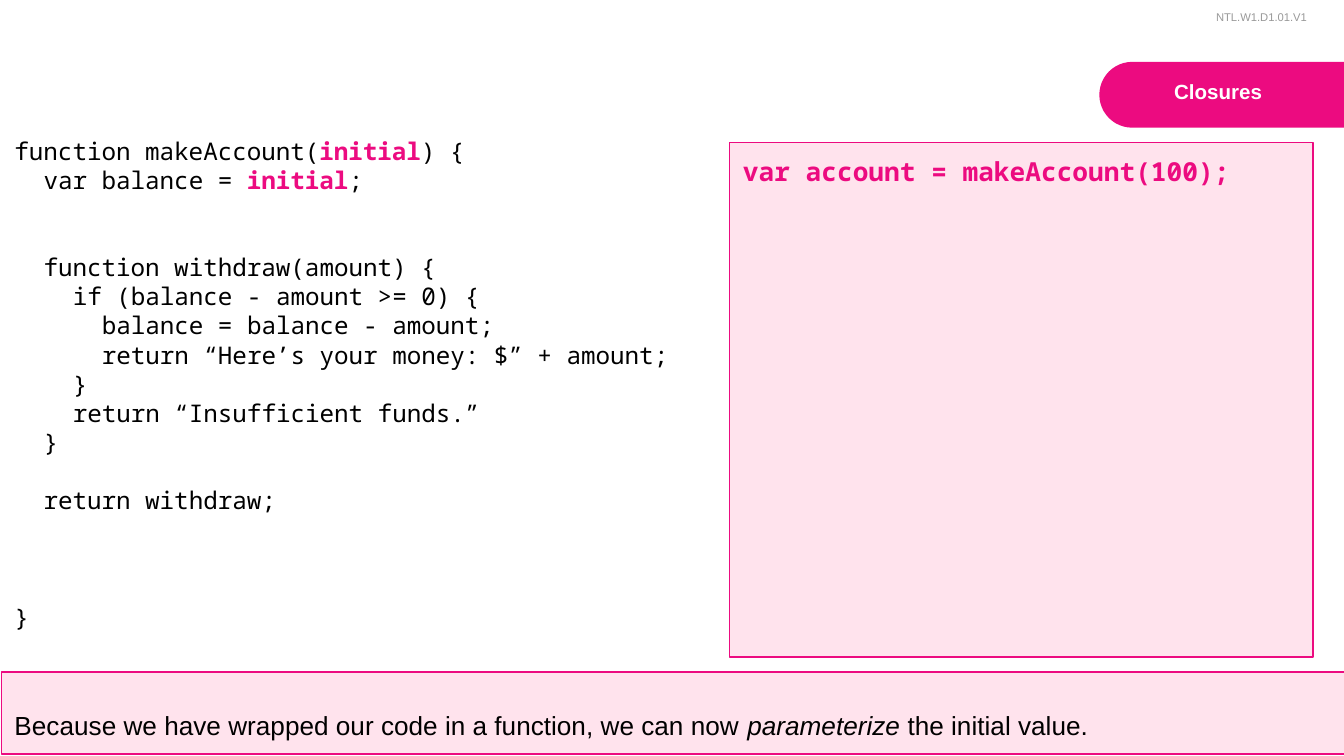
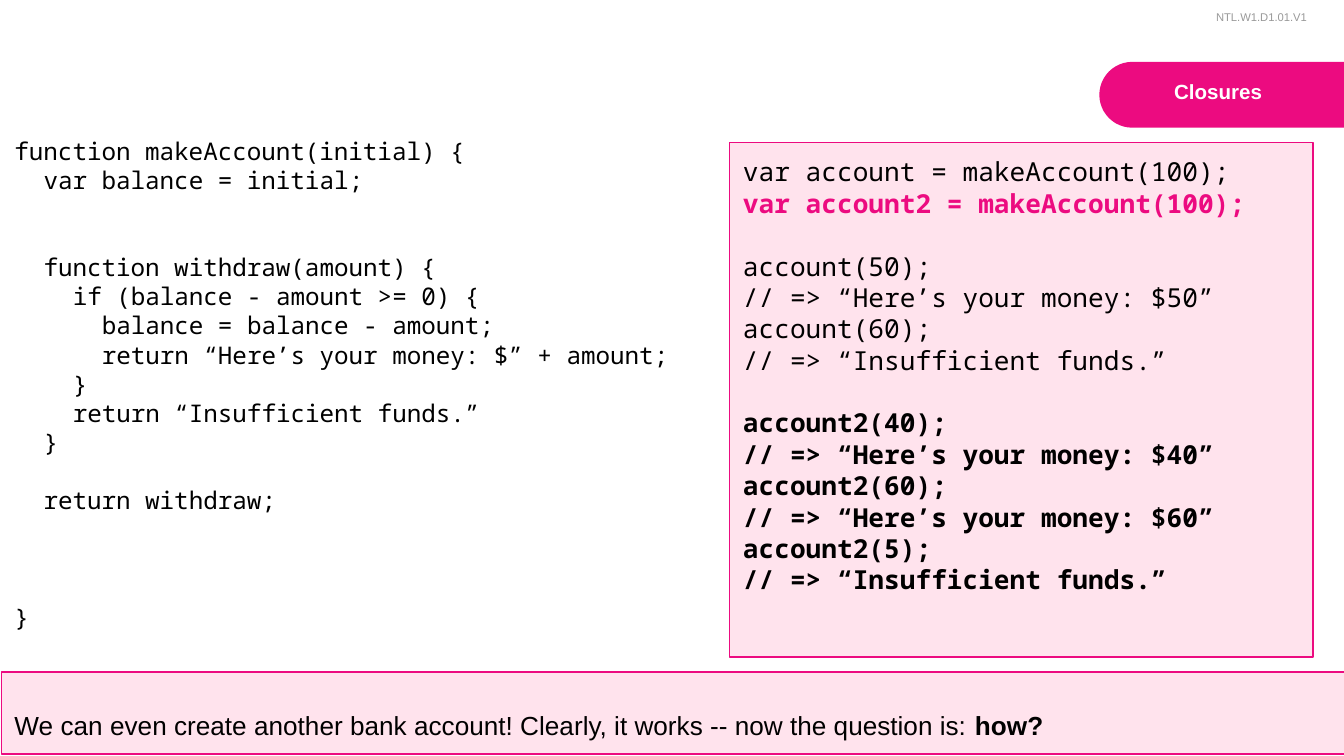
from pptx import Presentation
from pptx.dml.color import RGBColor
from pptx.enum.shapes import MSO_SHAPE as Preset
from pptx.enum.text import MSO_ANCHOR as Anchor, MSO_AUTO_SIZE as AutoSize, PP_ALIGN as Align
from pptx.oxml.xmlchemy import OxmlElement
from pptx.util import Pt

PX = 9144  # one px is a hundredth of an inch
PAGE_WIDTH = 1000
PINK, BLUSH, GREY, WHITE, BLACK = "EC0B80", "FF7CAD", "999999", "FFFFFF", "000000"
SANS, MONO = "Arial", "Noto Sans Mono"
PAD = 10
LINE_HEIGHT = 1.2  # in font sizes
CHAR_WIDTH = 0.6  # in font sizes, for the code font

# Boxes: left, top, width, height
PILL_BOX = (818, 46, 183, 49)
TITLE_BOX = (806, 49, 205, 39)
TAG_BOX = (895, 0, 97, 30)
CAPTION_BOX = (1, 500, 1000, 61)
CONSOLE_BOX = (543, 106, 434, 383)
CODE_BOX = (1, 91, 543, 388)

# Marked spans are written |style:text|
CODE = """\
function makeAccount(initial) {
  var balance = initial;


  function withdraw(amount) {
    if (balance - amount >= 0) {
      balance = balance - amount;
      return “Here’s your money: $” + amount;
    }
    return “Insufficient funds.”
  }

  return withdraw;



}"""

FIRST_CALL = "|hot:var account = makeAccount(100);|"

BOTH_CALLS = """\
var account = makeAccount(100);
|hot:var account2 = makeAccount(100);|

account(50);
// => “Here’s your money: $50”
account(60);
// => “Insufficient funds.”

|bold:account2(40);|
|bold:// => “Here’s your money: $40”|
|bold:account2(60);|
|bold:// => “Here’s your money: $60”|
|bold:account2(5);|
|bold:// => “Insufficient funds.”|"""

SLIDES = [
    (CODE.replace("initial", "|hot:initial|"), FIRST_CALL,
     "Because we have wrapped our code in a function, "
     "we can now |italic:parameterize| the initial value."),
    (CODE, BOTH_CALLS,
     "We can even create another bank account! Clearly, it works -- "
     "now the question is: |bold:how?|"),
]


def color(hex_text):
    return RGBColor.from_string(hex_text)


def scaled(box):
    return [length * PX for length in box]


def set_font(span, name, size, hex_text, bold=None):
    span.font.name, span.font.size, span.font.bold = name, Pt(size), bold
    span.font.color.rgb = color(hex_text)


def set_frame(frame, anchor=Anchor.TOP, top=PAD):
    frame.word_wrap = True
    frame.auto_size = AutoSize.NONE
    frame.vertical_anchor = anchor
    frame.margin_left = frame.margin_right = frame.margin_bottom = PAD * PX
    frame.margin_top = top * PX


def write_spans(para, line, font, size):
    for index, part in enumerate(line.split("|")):
        if not part:
            continue
        style = ""
        if index % 2:
            style, part = part.split(":", 1)
        span = para.add_run()
        span.text = part
        hot = style == "hot"
        set_font(span, font, size, PINK if hot else BLACK, hot or style == "bold")
        span.font.italic = style == "italic"


def write_lines(frame, text, font, size):
    """Turn leading spaces into indents and empty lines into space before."""
    empty, para = 0, None
    for line in text.split("\n"):
        if not line:
            empty += 1
            continue
        para = frame.add_paragraph() if para else frame.paragraphs[0]
        code = line.lstrip()
        depth = len(line) - len(code)
        props = para._p.get_or_add_pPr()
        props.set("marL", str(Pt(depth * CHAR_WIDTH * size)))
        props.set("indent", "0")
        para.alignment = Align.LEFT
        para.space_before = Pt(empty * LINE_HEIGHT * size)
        write_spans(para, code, font, size)
        empty = 0


def add_title(page):
    # Pill, turned on its side with the round end to the left
    left, top, width, height = PILL_BOX
    shift = (width - height) // 2
    pill = page.shapes.add_shape(
        Preset.ROUND_2_SAME_RECTANGLE,
        *scaled((left + shift, top - shift, height, width)))
    pill.rotation = 270
    pill.adjustments[0], pill.adjustments[1] = 0.5, 0
    pill.shadow.inherit = False
    pill.fill.solid()
    pill.fill.fore_color.rgb = color(PINK)
    pill.line.fill.background()

    # Title, brought in front of the pill
    title = page.shapes.title
    page.shapes.element.append(title.element)
    title.left, title.top, title.width, title.height = scaled(TITLE_BOX)
    set_frame(title.text_frame)
    title.text_frame.text = "Closures "
    para = title.text_frame.paragraphs[0]
    para.alignment = Align.CENTER
    set_font(para.runs[0], SANS, 11, WHITE, True)


def add_tag(page):
    frame = page.shapes.add_textbox(*scaled(TAG_BOX)).text_frame
    set_frame(frame, top=6)
    frame.text = "NTL.W1.D1.01.V1"
    para = frame.paragraphs[0]
    para.line_spacing = 1.15
    set_font(para.runs[0], SANS, 6, GREY)


def add_panel(page, box, text, font, anchor=Anchor.TOP):
    panel = page.shapes.add_shape(Preset.RECTANGLE, *scaled(box))
    panel.shadow.inherit = False
    panel.fill.solid()
    panel.fill.fore_color.rgb = color(BLUSH)
    alpha = OxmlElement("a:alpha")
    alpha.set("val", "21000")
    panel.element.spPr.find(".//{*}srgbClr").append(alpha)
    panel.line.color.rgb = color(PINK)
    panel.line.width = Pt(0.75)
    set_frame(panel.text_frame, anchor)
    write_lines(panel.text_frame, text, font, 14)


def add_code(page, box, text):
    frame = page.shapes.add_textbox(*scaled(box)).text_frame
    set_frame(frame)
    write_lines(frame, text, MONO, 13)


def add_page(deck, code, console, caption):
    page = deck.slides.add_slide(deck.slide_layouts[5])  # title only
    add_title(page)
    add_tag(page)
    add_panel(page, CAPTION_BOX, caption, SANS, Anchor.BOTTOM)
    add_panel(page, CONSOLE_BOX, console, MONO)
    add_code(page, CODE_BOX, code)


def main():
    deck = Presentation()
    deck.slide_width = PAGE_WIDTH * PX
    deck.slide_height = deck.slide_width * 9 // 16
    for code, console, caption in SLIDES:
        add_page(deck, code, console, caption)
    deck.save("out.pptx")


if __name__ == "__main__":
    main()
